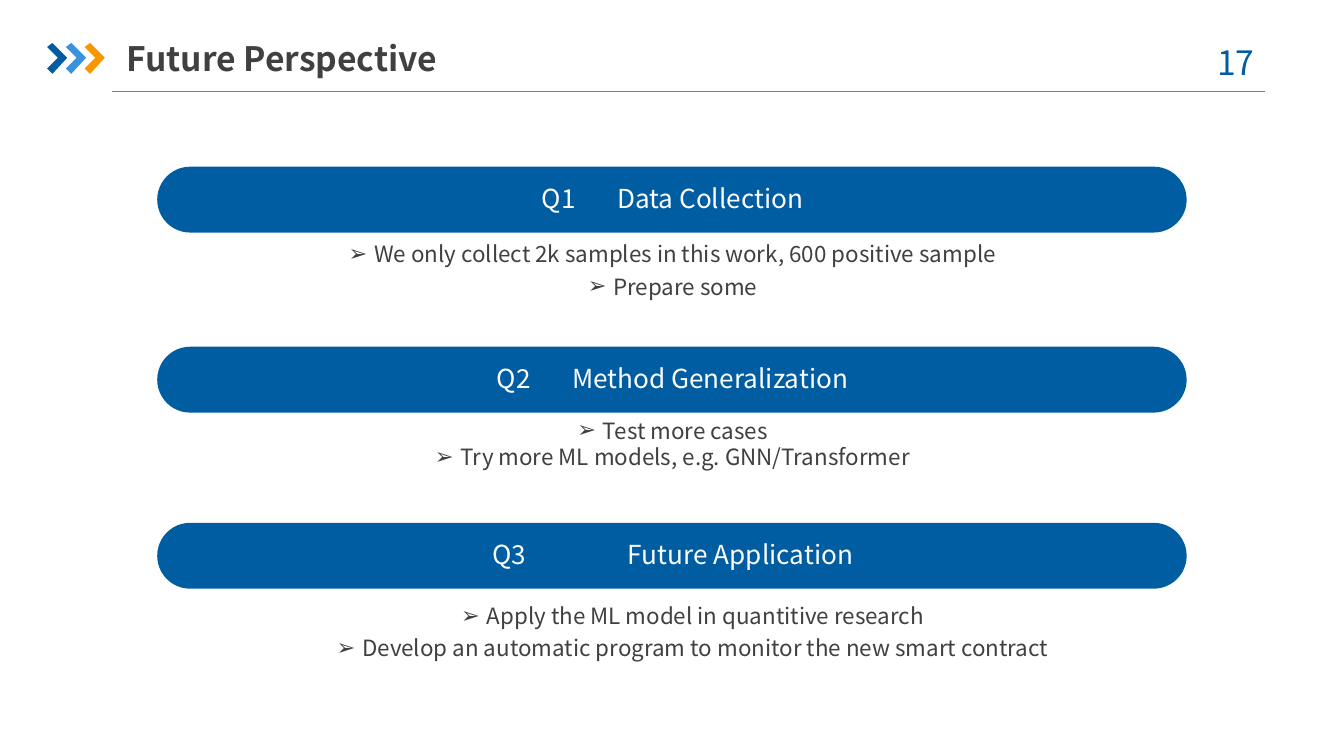
from lxml import etree
from pptx import Presentation
from pptx.dml.color import RGBColor
from pptx.enum.shapes import MSO_CONNECTOR, MSO_SHAPE
from pptx.enum.text import MSO_ANCHOR, MSO_AUTO_SIZE, PP_ALIGN
from pptx.oxml.ns import qn
from pptx.util import Inches, Pt

ROUNDED = MSO_SHAPE.ROUNDED_RECTANGLE
STRAIGHT = MSO_CONNECTOR.STRAIGHT
TOP, MIDDLE = MSO_ANCHOR.TOP, MSO_ANCHOR.MIDDLE
LEFT, CENTER = PP_ALIGN.LEFT, PP_ALIGN.CENTER
NO_AUTOFIT = MSO_AUTO_SIZE.NONE

FONT = "Noto Sans CJK SC"
COLORS = {"blue": "005DA2", "sky": "3992DB", "orange": "F79600",
          "text": "404040", "white": "FCFCFC", "rule": "808080"}

# Pill top, quarter, heading, heading tab, list left, list top, line spacing, items
SECTIONS = [
    (1.24, "Q1", "Data Collection", 0.56, 1.95, 1.75, 1.2,
     ["We only collect 2k samples in this work, 600 positive sample",
      "Prepare some"]),
    (2.58, "Q2", "Method Generalization", 0.56, 1.95, 3.1, 1.0,
     ["Test more cases", "Try more ML models, e.g. GNN/Transformer"]),
    (3.89, "Q3", "Future Application", 1.01, 2.1, 4.44, 1.2,
     ["Apply the ML model in quantitive research",
      "Develop an automatic program to monitor the new smart contract"]),
]


def paint(shape, color):
    shape.fill.solid()
    shape.fill.fore_color.rgb = RGBColor.from_string(COLORS[color])
    shape.line.fill.background()
    shape.shadow.inherit = False


def write(box, place, lines, size, color, align=CENTER, anchor=MIDDLE,
          spacing=1.0, bold=False, bullet=None, tab=None):
    """Place a text box or placeholder and fill it with formatted paragraphs."""
    box.left, box.top, box.width, box.height = map(Inches, place)
    frame = box.text_frame
    frame.word_wrap = True
    frame.auto_size = NO_AUTOFIT
    frame.vertical_anchor = anchor
    frame.margin_left = frame.margin_right = 0
    frame.margin_top = frame.margin_bottom = 0
    frame.text = "\n".join(lines)
    for para in frame.paragraphs:
        para.alignment = align
        para.line_spacing = spacing
        para.space_before = Pt(0)
        properties = para._p.get_or_add_pPr()
        if bullet:
            properties.set("marL", str(Inches(0.19)))
            properties.set("indent", str(-Inches(0.19)))
            etree.SubElement(properties, qn("a:buChar"), char=bullet)
        if tab:
            stops = etree.SubElement(properties, qn("a:tabLst"))
            etree.SubElement(stops, qn("a:tab"), pos=str(Inches(tab)), algn="l")
        para.font.name = FONT
        para.font.size = Pt(size)
        para.font.bold = bold
        para.font.color.rgb = RGBColor.from_string(COLORS[color])


deck = Presentation()
deck.slide_width = Inches(10)
deck.slide_height = deck.slide_width * 9 // 16
page = deck.slides.add_slide(deck.slide_layouts.get_by_name("Comparison"))
title, *bodies = page.placeholders
spare = bodies.pop()
spare.element.getparent().remove(spare.element)

# Header
rule = page.shapes.add_connector(STRAIGHT, Inches(0.83), Inches(0.68),
                                 Inches(9.41), Inches(0.68))
rule.line.color.rgb = RGBColor.from_string(COLORS["rule"])
rule.line.width = Pt(0.75)
etree.SubElement(rule._element.spPr, qn("a:effectLst"))

# Chevron corners in hundredths of an inch
CHEVRON = [(0, 3), (4, 0), (15, 11), (4, 23), (0, 19), (8, 11)]
for index, color in enumerate(["blue", "sky", "orange"]):
    points = [(35 + 14 * index + x, 32 + y) for x, y in CHEVRON]
    builder = page.shapes.build_freeform(*points[0], scale=Inches(0.01))
    builder.add_line_segments(points[1:], close=True)
    paint(builder.convert_to_shape(), color)

write(title, (0.94, 0.22, 4.46, 0.42), ["Future Perspective"], 18, "text",
      align=LEFT, bold=True)
number = page.shapes.add_textbox(0, 0, 0, 0)
write(number, (8.83, 0.26, 0.73, 0.4), ["17"], 18, "blue")

# Quarters
for body, section in zip(bodies, SECTIONS):
    pill_top, quarter, heading, tab, list_left, list_top, spacing, items = section
    pill = page.shapes.add_shape(ROUNDED, Inches(1.17), Inches(pill_top),
                                 Inches(7.66), Inches(0.49))
    pill.adjustments[0] = 0.5
    paint(pill, "blue")
    label = page.shapes.add_textbox(0, 0, 0, 0)
    write(label, (3.35, pill_top + 0.08, 3.31, 0.34), [f"{quarter}\t{heading}"],
          14, "white", spacing=0.9, tab=tab)
    write(body, (list_left, list_top, 6.11, 0.46), items, 12, "text",
          anchor=TOP, spacing=spacing, bullet="➢")

deck.save("out.pptx")
